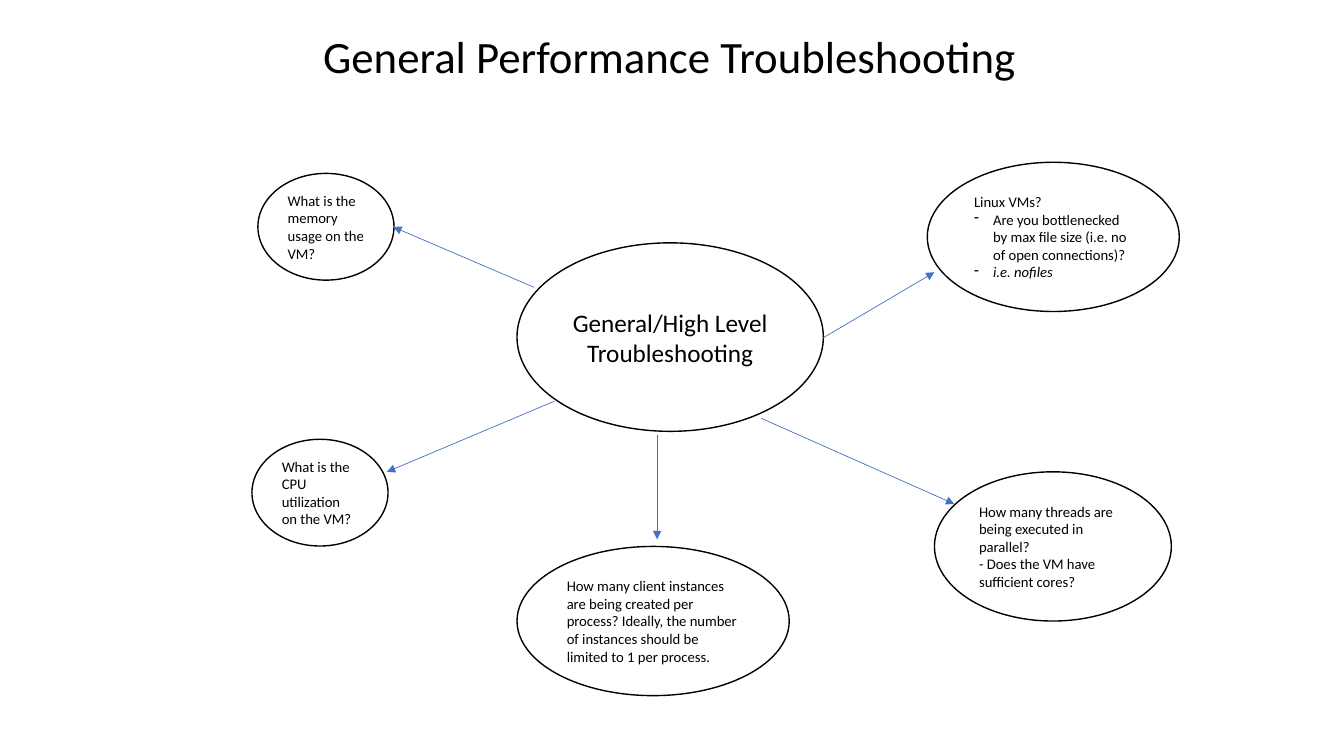
from lxml import etree
from pptx import Presentation
from pptx.dml.color import RGBColor
from pptx.enum.shapes import MSO_CONNECTOR, MSO_SHAPE
from pptx.enum.text import MSO_ANCHOR, MSO_AUTO_SIZE, PP_ALIGN
from pptx.oxml.ns import qn
from pptx.util import Cm, Pt

STRAIGHT = MSO_CONNECTOR.STRAIGHT
ELLIPSE = MSO_SHAPE.OVAL
MIDDLE = MSO_ANCHOR.MIDDLE
GROW = MSO_AUTO_SIZE.SHAPE_TO_FIT_TEXT
CENTER, LEFT = PP_ALIGN.CENTER, PP_ALIGN.LEFT

FONT = "Calibri"
BLACK = "000000"
ARROW_BLUE = "4472C4"
BULLET_INDENT = Cm(0.48)

TOPIC = (6.68, 2.03, 7.72, 4.75)
QUESTIONS = [
    ((6.68, 9.68, 6.86, 3.76),
     ["How many client instances are being created per process? "
      "Ideally, the number of instances should be limited to 1 per process."]),
    ((17.2, 7.8, 5.97, 3.76),
     ["How many threads are being executed in parallel?",
      "- Does the VM have sufficient cores?"]),
    ((0, 6.98, 3.43, 2.69), ["What is the CPU utilization on the VM?"]),
    ((0.15, 0.28, 3.43, 2.69), ["What is the memory usage on the VM?"]),
]
LINUX_BOX = (17.02, 0, 6.35, 3.76)
LINUX_LINES = [
    "Linux VMs?",
    "Are you bottlenecked by max file size (i.e. no of open connections)?",
    "i.e. nofiles",
]
ARROWS = [
    ((14.4, 4.42), (17.2, 2.77)),
    ((12.83, 6.45), (17.7, 8.61)),
    ((10.21, 6.86), (10.21, 9.5)),
    ((7.62, 6.02), (3.4, 7.8)),
    ((7.11, 3.15), (3.56, 1.63)),
]


def color(hex_code):
    return RGBColor.from_string(hex_code)


def write(frame, lines, size, align):
    frame.word_wrap = True
    frame.text = "\n".join(lines)
    for paragraph in frame.paragraphs:
        paragraph.alignment = align
        paragraph.font.name = FONT
        paragraph.font.size = Pt(size)
        paragraph.font.color.rgb = color(BLACK)


def add_dash(paragraph):
    properties = paragraph._p.get_or_add_pPr()
    properties.set("marL", str(BULLET_INDENT))
    properties.set("indent", str(-BULLET_INDENT))
    dash = etree.Element(qn("a:buChar"), char="-")
    properties.insert(0, dash)


def add_title(slide, left, top, width, height):
    title = slide.shapes.add_textbox(Cm(left), Cm(top), Cm(width), Cm(height)).text_frame
    title.auto_size = GROW
    write(title, ["General Performance Troubleshooting"], 32, CENTER)


def add_bubble(slide, left, top, box, lines, size=10.5, align=LEFT):
    x, y, width, height = box
    bubble = slide.shapes.add_shape(
        ELLIPSE, Cm(left + x), Cm(top + y), Cm(width), Cm(height))
    bubble.shadow.inherit = False
    bubble.fill.background()
    bubble.line.color.rgb = color(BLACK)
    bubble.line.width = Pt(1)
    bubble.text_frame.vertical_anchor = MIDDLE
    write(bubble.text_frame, lines, size, align)
    return bubble


def add_arrow(slide, left, top, start, end):
    arrow = slide.shapes.add_connector(
        STRAIGHT, Cm(left + start[0]), Cm(top + start[1]),
        Cm(left + end[0]), Cm(top + end[1]))
    arrow.line.color.rgb = color(ARROW_BLUE)
    arrow.line.width = Pt(0.5)
    etree.SubElement(arrow.line._get_or_add_ln(), qn("a:tailEnd"), type="triangle")
    etree.SubElement(arrow._element.spPr, qn("a:effectLst"))


def add_mind_map(slide, left, top):
    add_bubble(slide, left, top, TOPIC,
               ["General/High Level Troubleshooting"], 18, CENTER)
    for box, lines in QUESTIONS:
        add_bubble(slide, left, top, box, lines)
    linux = add_bubble(slide, left, top, LINUX_BOX, LINUX_LINES)
    checks = linux.text_frame.paragraphs[1:]
    for check in checks:
        add_dash(check)
    checks[-1].font.italic = True
    for start, end in ARROWS:
        add_arrow(slide, left, top, start, end)


def main():
    deck = Presentation()
    deck.slide_width, deck.slide_height = Cm(33.87), Cm(19.05)
    slide = deck.slides.add_slide(deck.slide_layouts[6])
    add_title(slide, 1.93, 0.61, 29.9, 1.63)
    add_mind_map(slide, 6.35, 4.09)
    deck.save("out.pptx")


if __name__ == "__main__":
    main()
